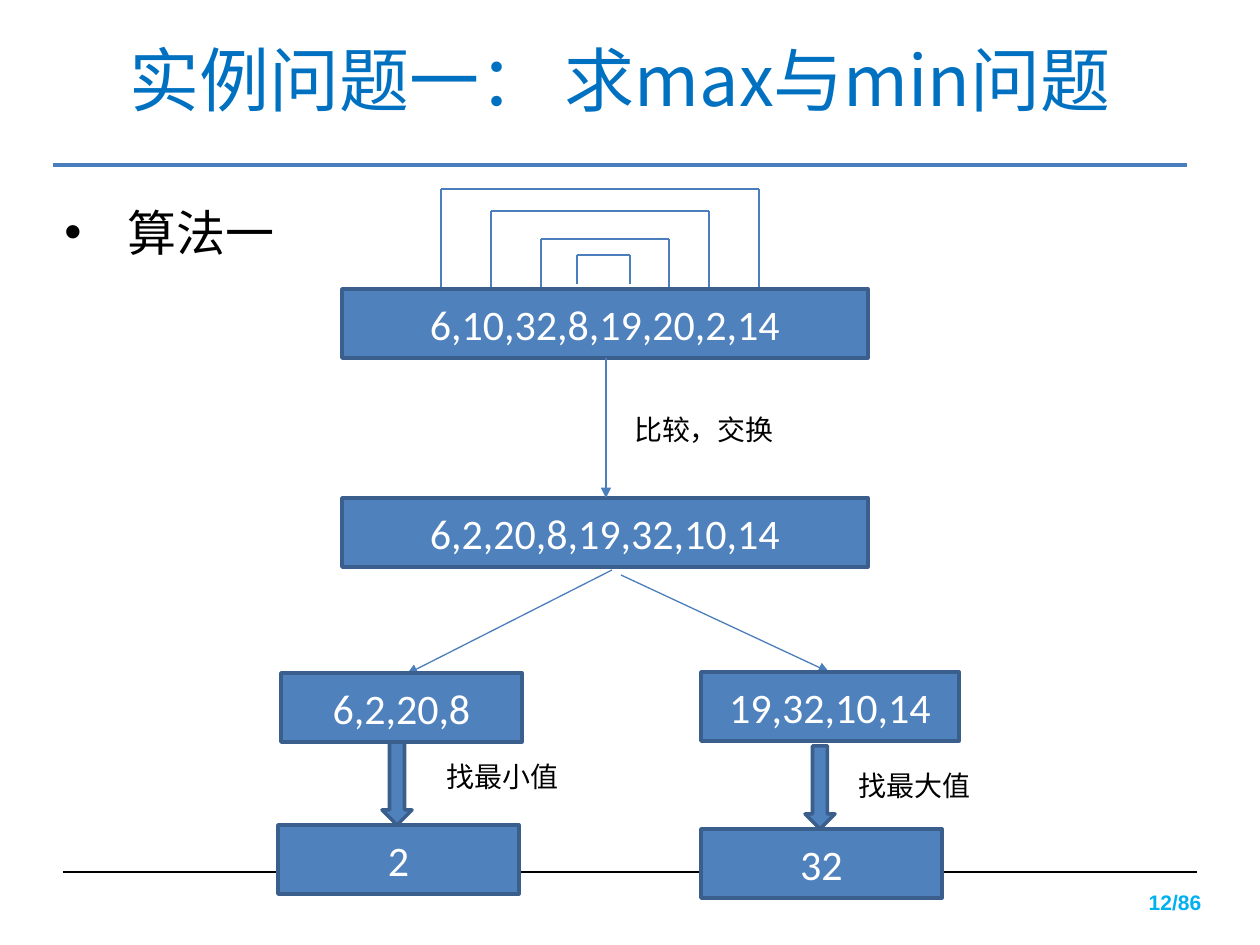
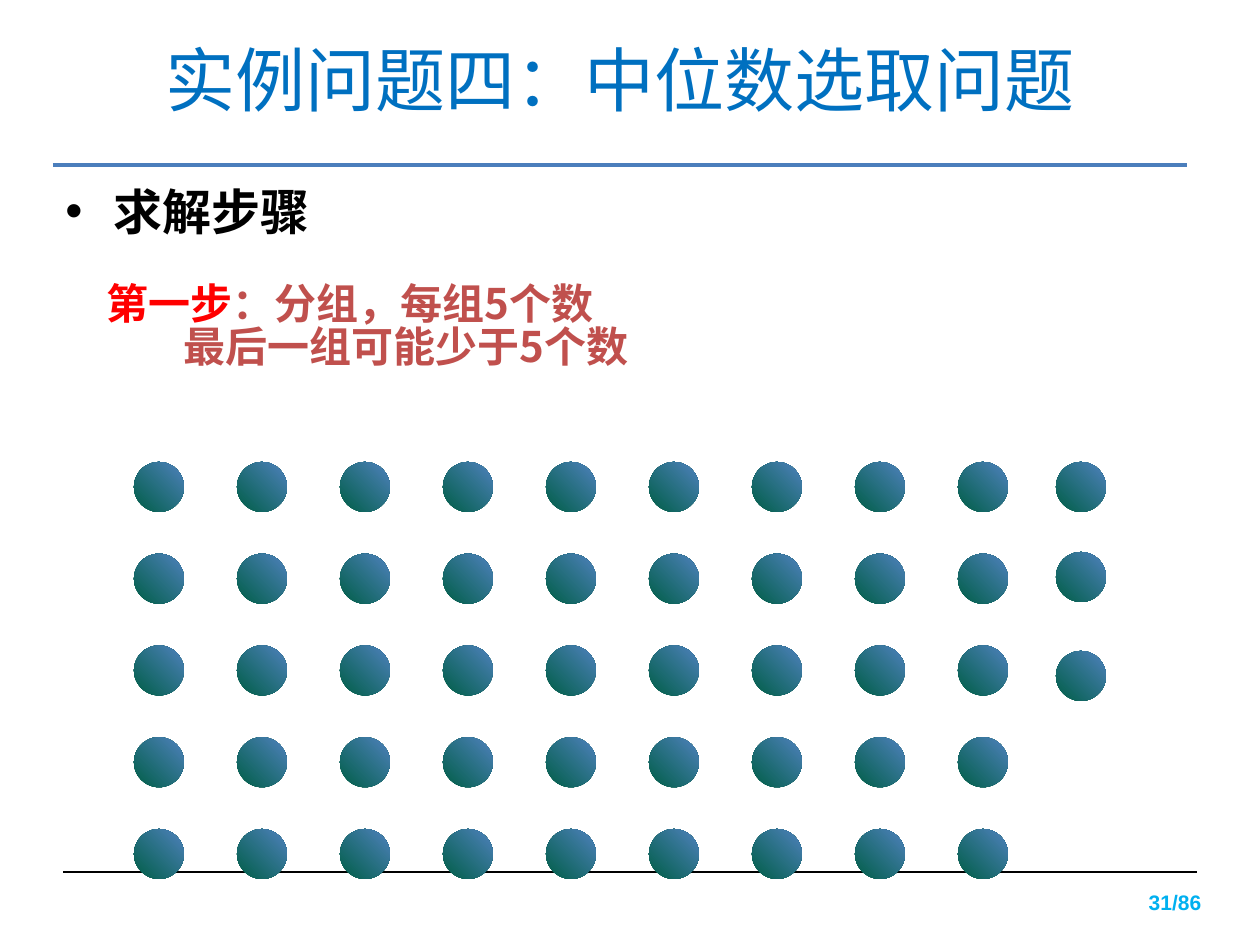
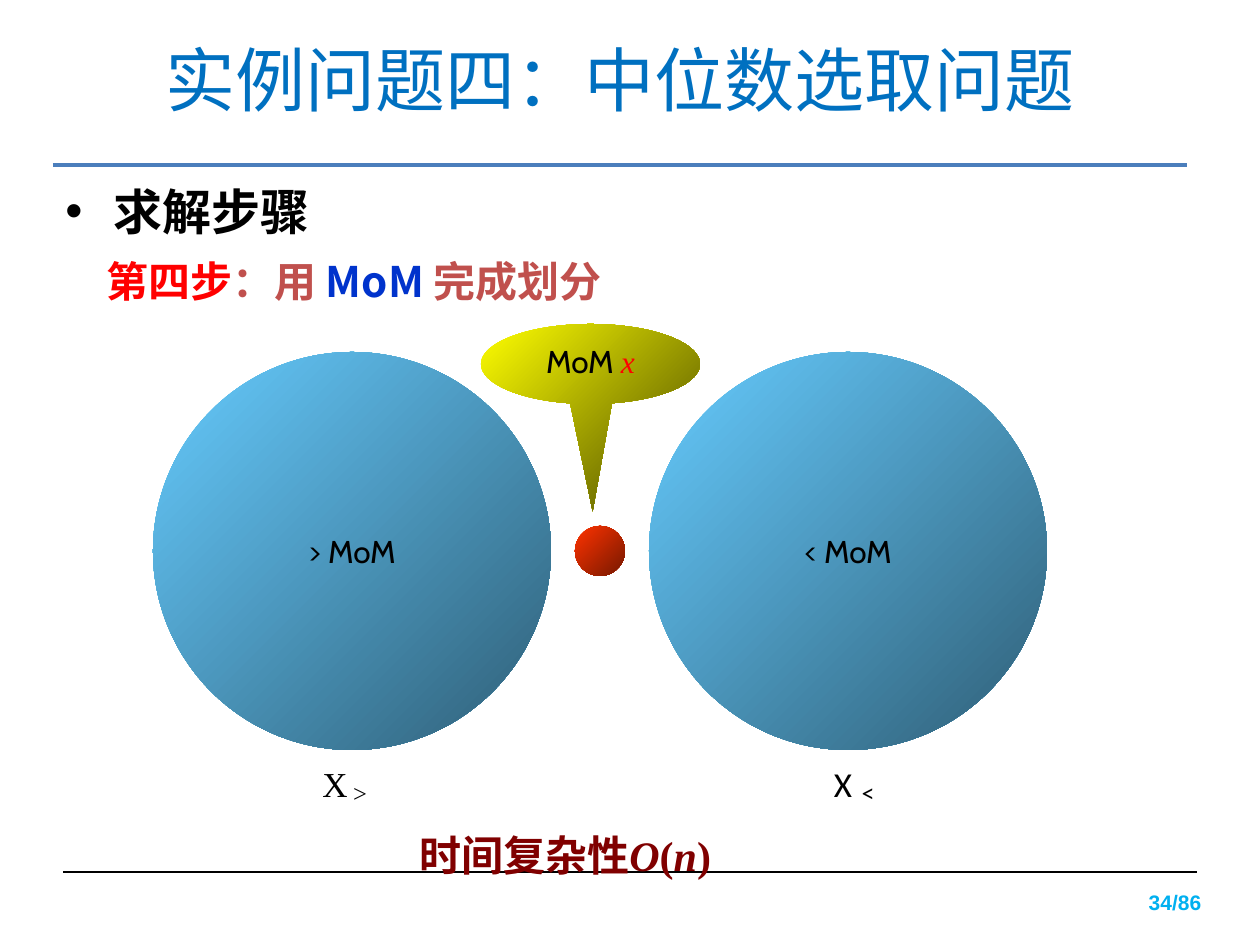
import lxml.etree
import pptx
import pptx.dml.color
import pptx.enum.shapes
import pptx.enum.text
import pptx.oxml.ns
import pptx.util

RGBColor = pptx.dml.color.RGBColor
SHAPE = pptx.enum.shapes.MSO_SHAPE
ALIGN = pptx.enum.text.PP_ALIGN
ANCHOR = pptx.enum.text.MSO_ANCHOR

# Shared colours and fonts
BLACK = RGBColor(0x00, 0x00, 0x00)
WHITE = RGBColor(0xFF, 0xFF, 0xFF)
TITLE_BLUE = RGBColor(0x00, 0x70, 0xC0)
NUMBER_BLUE = RGBColor(0x00, 0xB0, 0xF0)
LINE_BLUE = RGBColor(0x4B, 0x7E, 0xBC)
BOX_BLUE = RGBColor(0x4F, 0x81, 0xBD)
BOX_EDGE = RGBColor(0x3A, 0x5F, 0x8C)
RED = RGBColor(0xFF, 0x00, 0x00)
BRICK = RGBColor(0xC0, 0x50, 0x4D)
MOM_BLUE = RGBColor(0x00, 0x33, 0xCC)
MAROON = RGBColor(0x80, 0x00, 0x00)
DOT_FILL = (RGBColor(0x00, 0x5E, 0x47), BOX_BLUE)
SET_FILL = (RGBColor(0x66, 0xCC, 0xFF), RGBColor(0x2F, 0x5E, 0x76))
PIVOT_FILL = (RGBColor(0xFF, 0x33, 0x00), RGBColor(0x76, 0x18, 0x00))
CALLOUT_FILL = (RGBColor(0xFF, 0xFF, 0x00), RGBColor(0x76, 0x76, 0x00))
CJK = "Noto Sans CJK SC"
SERIF = "Times New Roman"

PX_PER_INCH = 126
SLIDE_WIDTH, SLIDE_HEIGHT = 1260, 945
PAGE_COUNT = 86


def px(length):
    return pptx.util.Emu(round(length * 914400 / PX_PER_INCH))


def add_element(parent, tag, **attributes):
    element = lxml.etree.SubElement(parent, pptx.oxml.ns.qn(tag))
    for name, value in attributes.items():
        element.set(name, str(value))
    return element


def write_text(shape, paragraphs, size=24, font=CJK, color=BLACK, bold=False, italic=False,
               align=ALIGN.LEFT, anchor=ANCHOR.TOP, wrap=True, inset=None,
               bullet_indent=0, margins=(), line_spacing=None):
    """Each paragraph is a string or a list of (text, overrides) runs."""
    frame = shape.text_frame
    frame.word_wrap = wrap
    frame.vertical_anchor = anchor
    if inset is not None:
        frame.margin_left = frame.margin_right = px(inset)
        frame.margin_top = frame.margin_bottom = px(inset)
    if isinstance(paragraphs, str):
        paragraphs = [paragraphs]
    for index, runs in enumerate(paragraphs):
        paragraph = frame.add_paragraph() if index else frame.paragraphs[0]
        paragraph.alignment = align
        if line_spacing:
            paragraph.line_spacing = line_spacing
        properties = paragraph._p.get_or_add_pPr()
        if bullet_indent:
            properties.set("marL", str(px(bullet_indent)))
            properties.set("indent", str(-px(bullet_indent)))
            add_element(properties, "a:buFont", typeface="Arial")
            add_element(properties, "a:buChar", char="•")
        elif margins:
            properties.set("marL", str(px(margins[index])))
        for text, changes in ([(runs, {})] if isinstance(runs, str) else runs):
            run = paragraph.add_run()
            run.text = text
            run.font.size = pptx.util.Pt(changes.get("size", size))
            run.font.name = changes.get("font", font)
            run.font.color.rgb = changes.get("color", color)
            run.font.bold = changes.get("bold", bold)
            run.font.italic = changes.get("italic", italic)
            run_properties = run._r.get_or_add_rPr()
            run_properties.set("lang", "zh-CN")
            add_element(run_properties, "a:ea", typeface=CJK)


def add_text(slide, box, paragraphs, **text_format):
    shape = slide.shapes.add_textbox(*map(px, box))
    write_text(shape, paragraphs, **text_format)


def add_line(slide, start, end, color=LINE_BLUE, width=0.75, arrow=False):
    connector = slide.shapes.add_connector(
        pptx.enum.shapes.MSO_CONNECTOR.STRAIGHT, *map(px, (*start, *end)))
    connector.line.color.rgb = color
    connector.line.width = pptx.util.Pt(width)
    if arrow:
        add_element(connector.line._get_or_add_ln(), "a:tailEnd", type="triangle")
    add_element(connector._element.spPr, "a:effectLst")


def add_block(slide, kind, box, text=None):
    shape = slide.shapes.add_shape(kind, *map(px, box))
    shape.shadow.inherit = False
    shape.fill.solid()
    shape.fill.fore_color.rgb = BOX_BLUE
    shape.line.color.rgb = BOX_EDGE
    shape.line.width = pptx.util.Pt(2)
    if text:
        write_text(shape, text, font="Calibri", color=WHITE,
                   align=ALIGN.CENTER, anchor=ANCHOR.MIDDLE)


def add_gradient(slide, kind, box, colors, angle=315):
    shape = slide.shapes.add_shape(kind, *map(px, box))
    shape.shadow.inherit = False
    shape.line.fill.background()
    shape.fill.gradient()
    shape.fill.gradient_angle = angle
    for stop, color in zip(shape.fill.gradient_stops, colors):
        stop.color.rgb = color
    return shape


def add_framed_slide(presentation, title, number):
    slide = presentation.slides.add_slide(presentation.slide_layouts[6])
    add_line(slide, (53, 165), (1187, 165), width=2.75)
    add_line(slide, (63, 872), (1197, 872), color=BLACK)
    add_text(slide, (1116, 877, 118, 50), f"{number}/{PAGE_COUNT}", size=12, font="Arial",
             color=NUMBER_BLUE, bold=True, align=ALIGN.CENTER, anchor=ANCHOR.MIDDLE)
    add_text(slide, (53, 6, 1134, 144), title, size=40, color=TITLE_BLUE,
             align=ALIGN.CENTER, anchor=ANCHOR.MIDDLE)
    return slide


def add_steps_heading(slide):
    add_text(slide, (53, 175, 1134, 75), "求解步骤", size=28, bold=True, bullet_indent=48)


# Compare-and-swap: paired brackets above two arrays
def draw_compare_swap(slide, left, top):
    brackets = [(99, 417, 0, 100), (149, 367, 22, 100), (199, 327, 50, 100), (235, 288, 66, 95)]
    for start, end, upper, lower in brackets:
        corners = [(left + x, top + y) for x, y in
                   ((start, lower), (start, upper), (end, upper), (end, lower))]
        for first, second in zip(corners, corners[1:]):
            add_line(slide, first, second)
    for offset, values in ((100, "6,10,32,8,19,20,2,14"), (309, "6,2,20,8,19,32,10,14")):
        add_block(slide, SHAPE.RECTANGLE, (left, top + offset, 526, 69), values)
    for start, end in (((264, 169), (264, 309)), ((270, 381), (65, 485)), ((279, 386), (487, 483))):
        add_line(slide, (left + start[0], top + start[1]),
                 (left + end[0], top + end[1]), arrow=True)
    add_text(slide, (left + 279, top + 217, 166, 47), "比较，交换", size=16, font=SERIF,
             align=ALIGN.CENTER)


# One half of the array, reduced to its extreme value
def draw_half(slide, left, top, width, values, result, result_shift, gap, arrow_left, label, label_box):
    add_block(slide, SHAPE.RECTANGLE, (left, top, width, 69), values)
    add_block(slide, SHAPE.DOWN_ARROW, (left + arrow_left, top + 69 + gap, 30, 83))
    add_block(slide, SHAPE.RECTANGLE, (left + result_shift, top + 152 + gap, 241, 69), result)
    add_text(slide, (left + label_box[0], top + label_box[1], 149, 47), label, size=16,
             font=SERIF, align=ALIGN.CENTER)


def build_max_min(presentation):
    slide = add_framed_slide(presentation, "实例问题一： 求max与min问题", 12)
    add_text(slide, (52, 196, 237, 72), "算法一", size=28, font=SERIF, wrap=False, bullet_indent=63)
    draw_compare_swap(slide, 342, 189)
    draw_half(slide, 281, 673, 241, "6,2,20,8", "2", -3, 0, 101, "找最小值", (147, 80))
    draw_half(slide, 701, 672, 258, "19,32,10,14", "32", 0, 5, 104, "找最大值", (139, 90))


# Columns of five dots, then a shorter last column
def draw_groups(slide, left, top, width, height, size=50, columns=9, rows=5):
    column_step = (width - size) / columns
    row_step = (height - size) / (rows - 1)
    centers = [(column * column_step, row * row_step)
               for column in range(columns) for row in range(rows)]
    centers += [(width - size - 5, y) for y in (0, 90, 189)]
    for x, y in centers:
        add_gradient(slide, SHAPE.OVAL, (left + x, top + y, size, size), DOT_FILL, angle=45)


def build_grouping(presentation):
    slide = add_framed_slide(presentation, "实例问题四：中位数选取问题", 31)
    add_steps_heading(slide)
    add_text(slide, (94, 249, 1071, 158),
             [[("第一步", {"color": RED}), ("：分组，每组5个数", {})], "最后一组可能少于5个数"],
             color=BRICK, bold=True, anchor=ANCHOR.MIDDLE, margins=(0, 77), line_spacing=0.85)
    draw_groups(slide, 134, 462, 977, 417)


# Two sets on either side of the pivot
def draw_partition(slide, left, top):
    centered = {"align": ALIGN.CENTER, "anchor": ANCHOR.MIDDLE, "wrap": False}
    for x, sign, letter_font, sign_font in ((0, ">", SERIF, SERIF), (496, "<", "Calibri", "Lato")):
        circle = add_gradient(slide, SHAPE.OVAL, (left + x, top + 28, 398, 398), SET_FILL)
        write_text(circle, f"{sign} MoM", size=18, font="Cabin", **centered)
        letter_x = left + x + (182 if x == 0 else 194)
        add_text(slide, (letter_x - 30, top + 435, 60, 50), "X", size=20,
                 font=letter_font, inset=0, **centered)
        add_text(slide, (letter_x + 10, top + 449, 30, 40), sign, size=14,
                 font=sign_font, inset=0, **centered)
    add_gradient(slide, SHAPE.OVAL, (left + 422, top + 202, 50, 50), PIVOT_FILL)
    callout = add_gradient(slide, SHAPE.OVAL_CALLOUT, (left + 328, top, 219, 80), CALLOUT_FILL)
    callout.adjustments[0], callout.adjustments[1] = 0.01, 1.84
    write_text(callout, [[("MoM ", {}), ("x", {"font": SERIF, "color": RED, "italic": True})]],
               size=18, font="Cabin", align=ALIGN.CENTER)


def build_partition(presentation):
    slide = add_framed_slide(presentation, "实例问题四：中位数选取问题", 34)
    add_steps_heading(slide)
    add_text(slide, (94, 249, 1071, 64),
             [[("第四步", {"color": RED}), ("：用 ", {}), ("MoM ", {"color": MOM_BLUE}),
               ("完成划分", {})]],
             color=BRICK, bold=True, anchor=ANCHOR.MIDDLE)
    draw_partition(slide, 153, 324)
    add_text(slide, (407, 823, 367, 70),
             [[("时间复杂性", {}), ("O", {"italic": True}), ("(", {}), ("n", {"italic": True}),
               (")", {})]],
             font=SERIF, color=MAROON, bold=True)


def main():
    presentation = pptx.Presentation()
    presentation.slide_width = px(SLIDE_WIDTH)
    presentation.slide_height = px(SLIDE_HEIGHT)
    build_max_min(presentation)
    build_grouping(presentation)
    build_partition(presentation)
    presentation.save("out.pptx")


if __name__ == "__main__":
    main()
